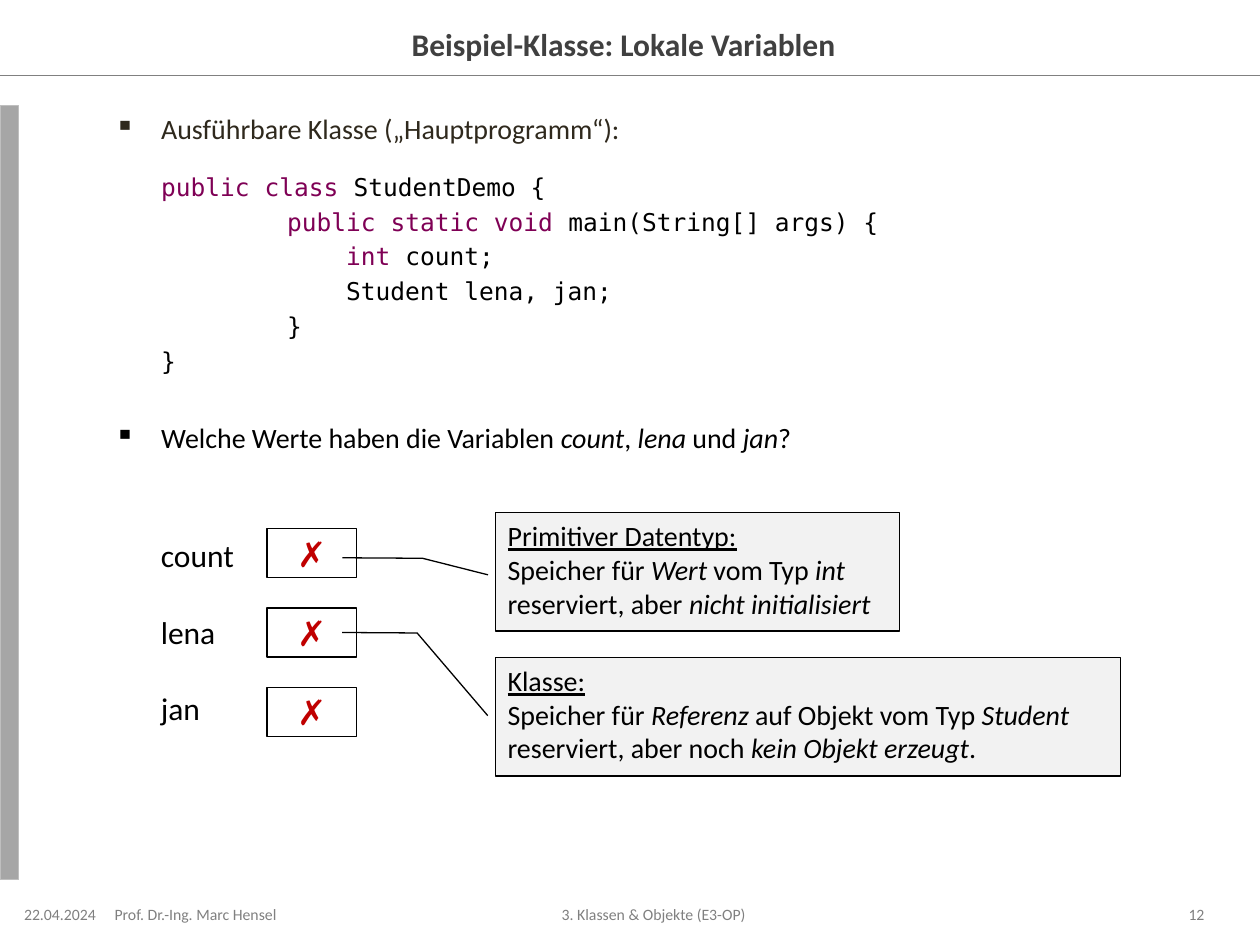
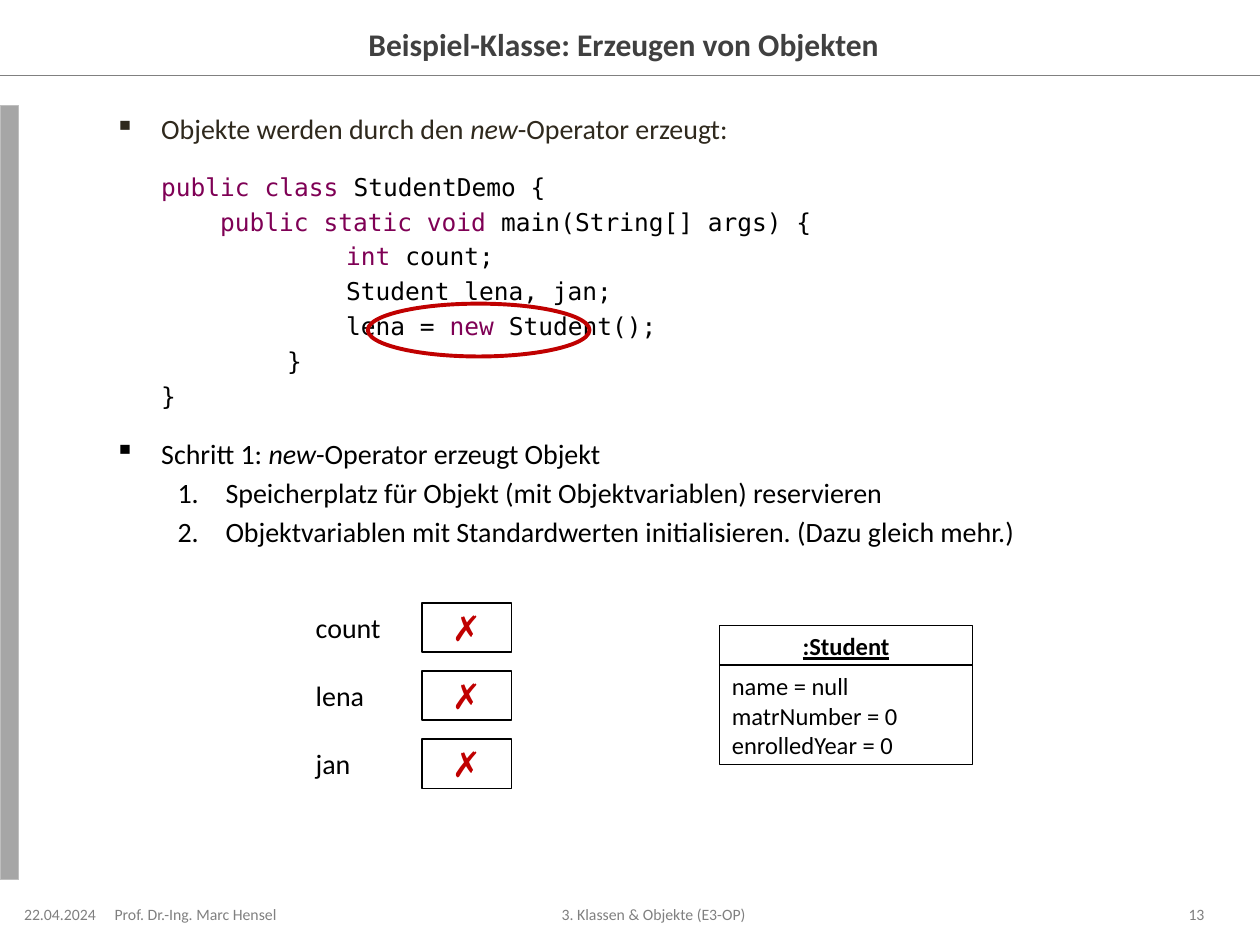
from pptx import Presentation
from pptx.util import Pt
from pptx.dml.color import RGBColor as Rgb
from pptx.enum.shapes import MSO_SHAPE as Form, MSO_CONNECTOR as Link
from pptx.enum.text import PP_ALIGN as Align, MSO_ANCHOR as Anchor
from lxml.etree import SubElement as Sub
from pptx.oxml.ns import qn

COLORS = {"black": "000000", "white": "FFFFFF", "title": "404040", "foot": "808080",
          "lead": "2F291D", "key": "7F0055", "red": "C00000", "note": "F2F2F2",
          "bar": "A6A6A6", "edge": "BFBFBF"}

# Text formats; parts between asterisks take the format of "alt"
BASE = {"name": "Calibri", "size": 16, "color": "black", "alt": {"italic": True}}
TITLE = {**BASE, "size": 18, "color": "title", "bold": True}
FOOT = {**BASE, "size": 9, "color": "foot"}
LEAD = {**BASE, "color": "lead"}
CODE = {**BASE, "name": "DejaVu Sans Mono", "size": 14, "alt": {"color": "key"}}
HEAD = {**BASE, "underline": True}
CROSS = {**BASE, "name": "Lato", "size": 20, "color": "red", "bold": True}
SMALL = {**BASE, "size": 14}
NAME = {**SMALL, "bold": True, "underline": True}

# Indents and gaps of the body text
HANG, STEP = 26.64, 33.72
TAB = HANG + 72
GAP = 3.1
INSET = (0, 3.6, 7.2, 3.6)


def rgb(key):
    return Rgb.from_string(COLORS[key])


def style(font, fmt):
    for key, val in fmt.items():
        if key == "color":
            font.color.rgb = rgb(val)
        elif key != "alt":
            setattr(font, key, Pt(val) if key == "size" else val)


def para(text, fmt, gap=0, left=0, hang=0, mark=None, align=Align.LEFT):
    return dict(text=text, fmt=fmt, gap=gap, left=left, hang=hang, mark=mark, align=align)


def bullet(text, fmt=BASE, gap=GAP):
    return para(text, fmt, gap, HANG, HANG, "▪")


def step(text):
    return para(text, BASE, GAP, 63.4, 27.4, "1.")


def code(lines, gap=15):
    """Turn (indent, text) pairs into code lines, the first one set off by a gap."""
    return [para(text, CODE, GAP if row else gap, left)
            for row, (left, text) in enumerate(lines)]


def write(shape, paras, anchor=Anchor.TOP, inset=(7.2, 3.6, 7.2, 3.6)):
    frame = shape.text_frame
    frame.word_wrap = True
    frame.vertical_anchor = anchor
    for side, val in zip(("left", "top", "right", "bottom"), inset):
        setattr(frame, "margin_" + side, Pt(val))
    for row, item in enumerate(paras):
        par = frame.add_paragraph() if row else frame.paragraphs[0]
        par.alignment = item["align"]
        par.space_before = Pt(item["gap"])
        props = par._p.get_or_add_pPr()
        props.set("marL", str(int(Pt(item["left"]))))
        props.set("indent", str(-int(Pt(item["hang"]))))
        if item["mark"] == "1.":
            Sub(props, qn("a:buAutoNum"), type="arabicPeriod")
        elif item["mark"]:
            Sub(props, qn("a:buChar"), char=item["mark"])
        else:
            Sub(props, qn("a:buNone"))
        for part, text in enumerate(item["text"].split("*")):
            if text:
                run = par.add_run()
                run.text = text
                fmt = item["fmt"]
                style(run.font, {**fmt, **fmt["alt"]} if part % 2 else fmt)


def label(slide, area, paras, anchor=Anchor.MIDDLE, inset=INSET):
    write(slide.shapes.add_textbox(*map(Pt, area)), paras, anchor, inset)


def form(slide, kind, area, fill=None, line=None, width=0.75):
    shape = slide.shapes.add_shape(kind, *map(Pt, area))
    shape.shadow.inherit = False
    if fill:
        shape.fill.solid()
        shape.fill.fore_color.rgb = rgb(fill)
    else:
        shape.fill.background()
    if line:
        shape.line.color.rgb = rgb(line)
        shape.line.width = Pt(width)
    else:
        shape.line.fill.background()
    return shape


def box(slide, area, paras, anchor=Anchor.TOP):
    write(form(slide, Form.RECTANGLE, area, "white", "black"), paras, anchor)


def note(slide, area, bends, head, text):
    shape = form(slide, Form.LINE_CALLOUT_2, area, "note", "black")
    for pos, val in enumerate(bends):
        shape.adjustments[pos] = val
    write(shape, [para(head, HEAD), para(text, BASE)])


def store(slide, left, top, size, pitch):
    """Draw the three variables with their empty memory cells."""
    fmt = {**BASE, "size": size}
    names = [para(name, fmt, 1.22 * size if row else 0)
             for row, name in enumerate(("count", "lena", "jan"))]
    write(form(slide, Form.ROUNDED_RECTANGLE, (left, top, 147.6, 130.3)), names)
    for row in range(3):
        box(slide, (left + 74.1, top + 5.4 + row * pitch, 51.1, 28.1),
            [para("✗", CROSS, align=Align.CENTER)], Anchor.MIDDLE)


def page(deck, title, number, body):
    """Add a slide with rule, side bar, title, body text and footer."""
    slide = deck.slides.add_slide(deck.slide_layouts[6])
    rule = slide.shapes.add_connector(Link.STRAIGHT, 0, Pt(43.2), Pt(720), Pt(43.2))
    rule.line.color.rgb = rgb("foot")
    rule.line.width = Pt(0.75)
    Sub(rule._element.spPr, qn("a:effectLst"))
    form(slide, Form.RECTANGLE, (0, 60.5, 10.8, 442.1), "bar", "edge")
    label(slide, (65.5, 60.5, 623.5, 442.1), body, Anchor.TOP)
    label(slide, (89.3, 10.8, 541.4, 28.1), [para(title, TITLE, align=Align.CENTER)])
    feet = [(10.8, 54, "22.04.2024", Align.CENTER, INSET),
            (65.5, 108, "Prof. Dr.-Ing. Marc Hensel", Align.LEFT, INSET),
            (178.6, 396.7, "3. Klassen & Objekte (E3-OP)", Align.CENTER, INSET),
            (642.2, 46.1, str(number), Align.RIGHT, (7.2, 3.6, 0, 3.6))]
    for left, width, text, align, inset in feet:
        label(slide, (left, 516.7, width, 11), [para(text, FOOT, align=align)], inset=inset)
    return slide


def locals_page(deck):
    body = [bullet("Ausführbare Klasse („Hauptprogramm“):", LEAD, 0)]
    body += code([(HANG, "*public class *StudentDemo {"),
                  (TAB, "*public static void* main(String[] args) {"),
                  (TAB + STEP, "*int *count;"),
                  (TAB + STEP, "Student lena, jan;"),
                  (TAB, "}"),
                  (HANG, "}")])
    body.append(bullet("Welche Werte haben die Variablen *count*, *lena* und *jan*?", gap=26))
    slide = page(deck, "Beispiel-Klasse: Lokale Variablen", 12, body)
    store(slide, 78.5, 296.6, 18, 45.4)
    note(slide, (283, 293, 231.1, 67.7), (0.525, -0.018, 0.385, -0.18, 0.381, -0.378),
         "Primitiver Datentyp:",
         "Speicher für *Wert* vom Typ *int* reserviert, aber *nicht initialisiert*")
    note(slide, (283, 375.8, 357.1, 67.7), (0.49, -0.012, -0.208, -0.125, -0.212, -0.245),
         "Klasse:",
         "Speicher für *Referenz* auf Objekt vom Typ *Student* reserviert, "
         "aber noch *kein Objekt erzeugt*.")


def objects_page(deck):
    body = [bullet("Objekte werden durch den *new*-Operator erzeugt:", LEAD, 0)]
    body += code([(HANG, "*public class *StudentDemo {"),
                  (HANG + STEP, "*public static void* main(String[] args) {"),
                  (TAB + STEP, "*int *count;"),
                  (TAB + STEP, "Student lena, jan;"),
                  (TAB + STEP, "lena = *new* Student();"),
                  (TAB, "}"),
                  (HANG, "}")])
    body += [bullet("Schritt 1: *new*-Operator erzeugt Objekt", gap=15),
             step("Speicherplatz für Objekt (mit Objektvariablen) reservieren"),
             step("Objektvariablen mit Standardwerten initialisieren. (Dazu gleich mehr.)")]
    slide = page(deck, "Beispiel-Klasse: Erzeugen von Objekten", 13, body)
    form(slide, Form.OVAL, (210.2, 173.5, 126.7, 30.2), line="red", width=2.25)
    store(slide, 167, 339.1, 16, 38.9)
    # Object diagram
    box(slide, (411.1, 357.3, 144.7, 22.7), [para(":Student", NAME, align=Align.CENTER)])
    box(slide, (411.1, 380, 144.7, 56.9),
        [para(text, SMALL) for text in ("name = null", "matrNumber = 0", "enrolledYear = 0")])


def main():
    deck = Presentation()
    deck.slide_width, deck.slide_height = Pt(720), Pt(540)
    locals_page(deck)
    objects_page(deck)
    deck.save("out.pptx")


if __name__ == "__main__":
    main()
